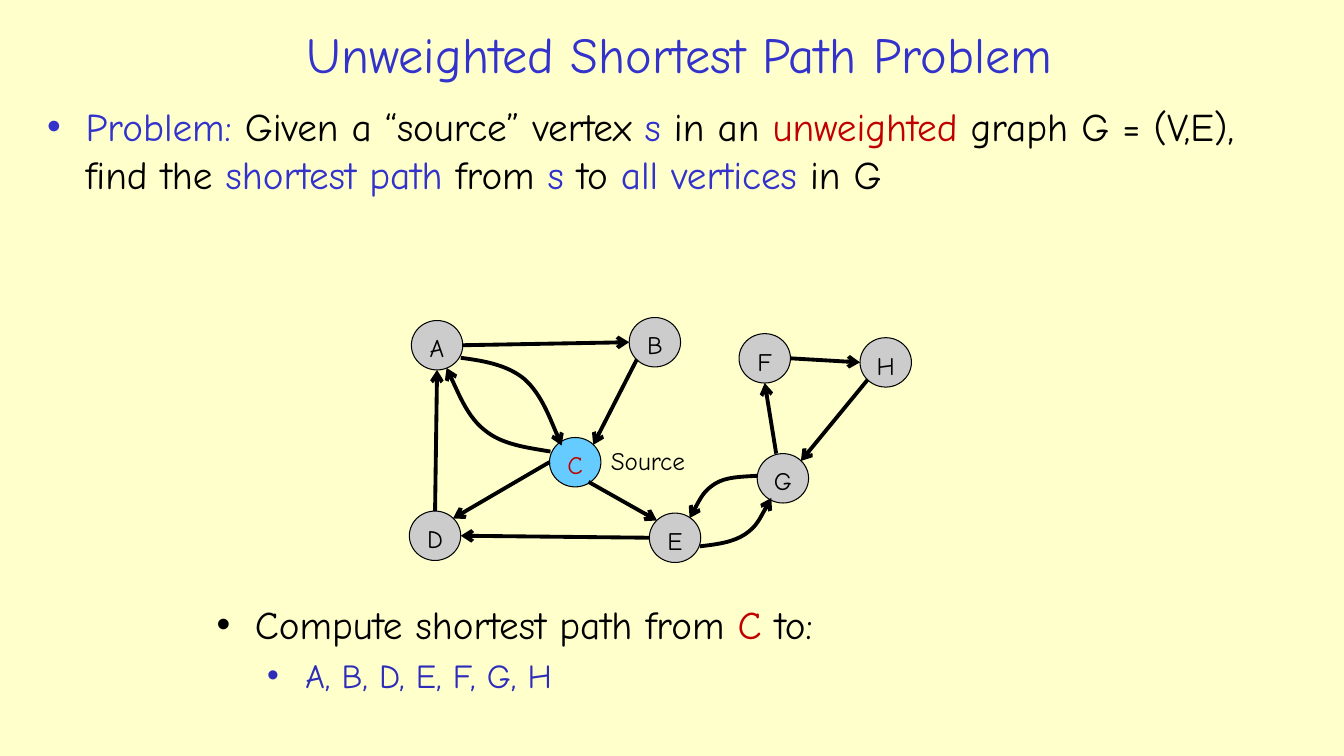
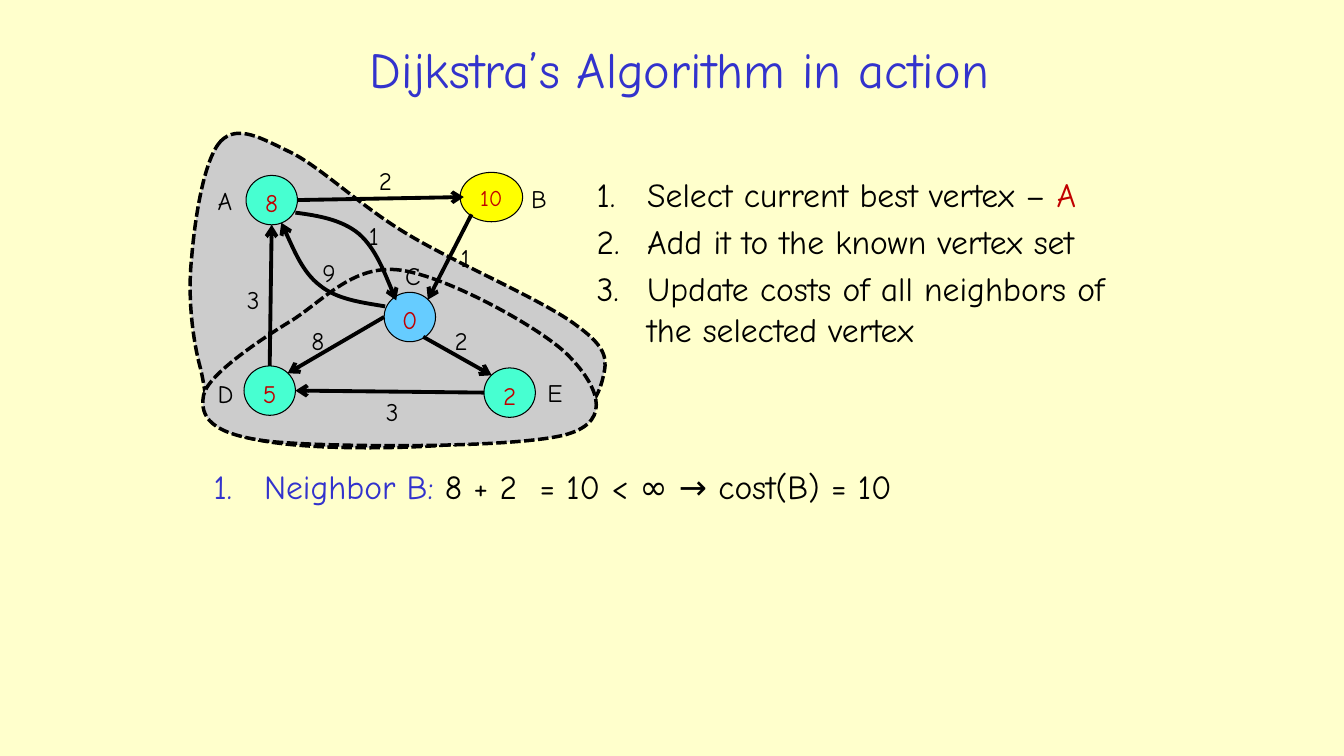
"""Build two slides on shortest paths in a directed graph."""
import pptx
import pptx.dml.color
import pptx.enum.dml
import pptx.enum.shapes
import pptx.enum.text
import pptx.oxml
import pptx.oxml.ns
import pptx.oxml.xmlchemy
import pptx.util

FONT = "Comic Neue"
COLORS = {
    "background": "FFFFCC", "title": "3333CC", "black": "000000", "red": "C00000",
    "deep blue": "2D2DB9", "gray": "CCCCCC", "sky": "66CCFF", "mint": "47FFD1",
    "yellow": "FFFF00",
}
SLIDE_WIDTH, SLIDE_HEIGHT = 13.33, 7.5
NODE_WIDTH, NODE_HEIGHT = 0.51, 0.49
LABEL_WIDTH, LABEL_HEIGHT = 0.36, 0.4

NODES = {
    "A": (4.08, 3.18), "B": (6.24, 3.15), "C": (5.45, 4.34), "D": (4.06, 5.07),
    "E": (6.44, 5.09), "F": (7.33, 3.31), "G": (7.51, 4.5), "H": (8.53, 3.35),
}
SITES = {
    "top": (0.5, 0), "bottom": (0.5, 1), "left": (0, 0.5), "right": (1, 0.5),
    "top left": (0.15, 0.15), "top right": (0.85, 0.15), "bottom left": (0.15, 0.85),
    "lower right": (0.76, 0.9), "near top": (0.37, 0),
}
EDGES = [
    ("A", "right", "B", "left"), ("D", "top", "A", "bottom"),
    ("C", "left", "D", "top right"), ("B", "bottom left", "C", "top right"),
    ("E", "left", "D", "right"), ("C", "lower right", "E", "top left"),
    ("G", "near top", "F", "bottom"), ("F", "right", "H", "left"),
    ("H", "bottom left", "G", "top right"),
]
CURVES = {
    "CA": [(5.46, 4.48), (5.22, 4.44), (4.98, 4.41), (4.81, 4.27),
           (4.64, 4.14), (4.43, 3.65), (4.43, 3.65)],
    "AC": [(4.57, 3.55), (4.8, 3.58), (5.03, 3.62), (5.2, 3.76),
           (5.37, 3.91), (5.57, 4.42), (5.57, 4.42)],
    "EG": [(6.94, 5.42), (7.11, 5.4), (7.27, 5.38), (7.39, 5.3),
           (7.51, 5.22), (7.65, 4.94), (7.65, 4.94)],
    "GE": [(7.51, 4.72), (7.35, 4.73), (7.2, 4.73), (7.09, 4.8),
           (6.98, 4.87), (6.91, 5.01), (6.84, 5.14)],
}

PROBLEM = [[
    ("Problem: ", "title"), ("Given a “source” vertex ", "black"), ("s", "title"),
    (" in an ", "black"), ("unweighted", "red"), (" graph G = (V,E), find the ", "black"),
    ("shortest path", "title"), (" from ", "black"), ("s", "title"), (" to ", "black"),
    ("all vertices ", "title"), ("in G", "black"),
]]
TASK = [[("Compute shortest path from ", "black"), ("C ", "red"), ("to:", "black")],
        [("A, B, D, E, F, G, H", "deep blue")]]
PROBLEM_LOOK = {name: (name, "gray", "black") for name in NODES} | {"C": ("C", "sky", "red")}

ACTION_SHIFT = (-1.64, -1.44)
ACTION_LOOK = {
    "A": ("8", "mint", "red"), "B": ("10", "yellow", "red"), "C": ("0", "sky", "red"),
    "D": ("5", "mint", "red"), "E": ("2", "mint", "red"),
}
STEPS = [
    [("Select current best vertex – ", "black"), ("A", "red")],
    [("Add it to the known vertex set", "black")],
    [("Update costs of all neighbors of the selected vertex", "black")],
]
COST_UPDATE = [[("Neighbor B: ", "title"), ("8 + 2  = 10 < ∞ → cost(B) = 10", "black")]]
ACTION_LABELS = [
    ("3", 2.35, 2.77), ("9", 3.1, 2.5), ("1", 3.56, 2.14), ("2", 3.66, 1.59),
    ("1", 4.47, 2.35), ("2", 4.41, 3.18), ("8", 2.99, 3.18), ("3", 3.73, 3.88),
    ("A", 2.06, 1.79), ("B", 5.17, 1.77), ("C", 3.92, 2.53), ("D", 2.06, 3.7),
    ("E", 5.33, 3.69),
]
KNOWN_REGIONS = [
    [(2.19, 1.4), (2.02, 1.58), (1.93, 2.19), (1.9, 2.57), (1.86, 2.94), (1.91, 3.37),
     (1.99, 3.66), (2.06, 3.95), (2.02, 4.17), (2.33, 4.3), (2.65, 4.43), (3.36, 4.45),
     (3.88, 4.44), (4.41, 4.43), (5.14, 4.37), (5.49, 4.25), (5.84, 4.14), (5.94, 3.92),
     (5.98, 3.75), (6.02, 3.58), (6.04, 3.46), (5.72, 3.23), (5.41, 2.99), (4.54, 2.62),
     (4.07, 2.34), (3.59, 2.06), (3.21, 1.68), (2.9, 1.52), (2.59, 1.37), (2.36, 1.23),
     (2.19, 1.4)],
    [(3.97, 2.68), (3.52, 2.62), (3.23, 2.96), (2.91, 3.17), (2.58, 3.37), (2.06, 3.72),
     (2.02, 3.92), (1.98, 4.13), (2.08, 4.31), (2.68, 4.38), (3.28, 4.44), (5.12, 4.45),
     (5.62, 4.31), (6.11, 4.17), (5.9, 3.79), (5.63, 3.52), (5.36, 3.25), (4.43, 2.74),
     (3.97, 2.68)],
]


def inches(values):
    return [pptx.util.Inches(value) for value in values]


def color(name):
    return pptx.dml.color.RGBColor.from_string(COLORS[name])


def add_element(parent, tag, **attributes):
    element = pptx.oxml.xmlchemy.OxmlElement(tag)
    for key, value in attributes.items():
        element.set(key, value)
    parent.append(element)
    return element


def write_text(shape, paragraphs, sizes=(18,), align="LEFT", anchor="TOP", wrap=False,
               bullet=None, indents=(0,), hanging=0):
    frame = shape.text_frame
    frame.word_wrap = wrap
    frame.vertical_anchor = getattr(pptx.enum.text.MSO_ANCHOR, anchor)
    for index, runs in enumerate(paragraphs):
        paragraph = frame.paragraphs[0] if index == 0 else frame.add_paragraph()
        paragraph.alignment = getattr(pptx.enum.text.PP_ALIGN, align)
        size = sizes[min(index, len(sizes) - 1)]
        if index:
            paragraph.space_before = pptx.util.Pt(size * 0.2)
        if bullet:
            properties = paragraph._p.get_or_add_pPr()
            indent = indents[min(index, len(indents) - 1)]
            properties.set("marL", str(pptx.util.Inches(indent)))
            properties.set("indent", str(-pptx.util.Inches(hanging)))
            if bullet == "number":
                add_element(properties, "a:buFont", typeface=FONT)
                add_element(properties, "a:buAutoNum", type="arabicPeriod")
            else:
                add_element(properties, "a:buFont", typeface="Arial")
                add_element(properties, "a:buChar", char=bullet)
        for text, color_name in runs:
            run = paragraph.add_run()
            run.text = text
            run.font.name = FONT
            run.font.size = pptx.util.Pt(size)
            run.font.color.rgb = color(color_name)


def add_text(slide, box, paragraphs, **text_format):
    shape = slide.shapes.add_textbox(*inches(box))
    write_text(shape, paragraphs, **text_format)
    return shape


def add_label(slide, text, left, top, width=LABEL_WIDTH):
    label = add_text(slide, (left, top, width, LABEL_HEIGHT), [[(text, "black")]])
    label.text_frame.auto_size = pptx.enum.text.MSO_AUTO_SIZE.SHAPE_TO_FIT_TEXT


def set_line(shape, width, arrow=False):
    shape.line.color.rgb = color("black")
    shape.line.width = pptx.util.Pt(width)
    if arrow:
        line = shape.element.find(".//" + pptx.oxml.ns.qn("a:ln"))
        add_element(line, "a:tailEnd", type="arrow")


def add_curve(slide, points, closed=False):
    start, *controls = [inches(point) for point in points]
    builder = slide.shapes.build_freeform(*start)
    builder.add_line_segments(controls, close=closed)
    shape = builder.convert_to_shape()
    segments = shape.element.findall(".//" + pptx.oxml.ns.qn("a:lnTo"))
    for index in range(0, len(segments), 3):
        bezier = pptx.oxml.xmlchemy.OxmlElement("a:cubicBezTo")
        segments[index].addprevious(bezier)
        for segment in segments[index:index + 3]:
            bezier.append(segment[0])
            segment.getparent().remove(segment)
    shape.shadow.inherit = False
    return shape


def add_region(slide, points):
    region = add_curve(slide, points, closed=True)
    region.fill.solid()
    region.fill.fore_color.rgb = color("gray")
    set_line(region, 2.5)
    region.line.dash_style = pptx.enum.dml.MSO_LINE.SQUARE_DOT
    dash = region.element.find(".//" + pptx.oxml.ns.qn("a:prstDash"))
    dash.set("val", "sysDash")


def add_node(slide, left, top, text, fill, text_color):
    extra = 0.11 if len(text) > 1 else 0
    box = (left - extra / 3, top, NODE_WIDTH + extra, NODE_HEIGHT)
    node = slide.shapes.add_shape(pptx.enum.shapes.MSO_SHAPE.OVAL, *inches(box))
    node.shadow.inherit = False
    node.fill.solid()
    node.fill.fore_color.rgb = color(fill)
    set_line(node, 0.75)
    write_text(node, [[(text, text_color)]], sizes=(16 if extra else 18,), align="CENTER")


def draw_graph(slide, look, shift=(0, 0)):
    def moved(x, y):
        return x + shift[0], y + shift[1]

    def site_point(name, site):
        left, top = NODES[name]
        across, down = SITES[site]
        return moved(left + across * NODE_WIDTH, top + down * NODE_HEIGHT)

    for name, style in look.items():
        add_node(slide, *moved(*NODES[name]), *style)
    for source, source_site, target, target_site in EDGES:
        if source in look and target in look:
            ends = site_point(source, source_site) + site_point(target, target_site)
            edge = slide.shapes.add_connector(
                pptx.enum.shapes.MSO_CONNECTOR.STRAIGHT, *inches(ends))
            set_line(edge, 2.75, arrow=True)
            add_element(edge.element.spPr, "a:effectLst")
    for ends, points in CURVES.items():
        if set(ends) <= set(look):
            curve = add_curve(slide, [moved(*point) for point in points])
            curve.fill.background()
            set_line(curve, 2.75, arrow=True)


def new_slide(presentation, title, title_top):
    slide = presentation.slides.add_slide(presentation.slide_layouts[6])
    slide.background.fill.solid()
    slide.background.fill.fore_color.rgb = color("background")
    add_text(slide, (1.97, title_top, 9.54, 0.76), [[(title, "title")]],
             sizes=(36,), align="CENTER", anchor="MIDDLE", wrap=True)
    return slide


def build_problem(presentation):
    slide = new_slide(presentation, "Unweighted Shortest Path Problem", 0.15)
    add_text(slide, (0.37, 0.97, 12.53, 1.72), PROBLEM, sizes=(28,), wrap=True,
             bullet="•", indents=(0.38,), hanging=0.38)
    draw_graph(slide, PROBLEM_LOOK)
    add_label(slide, "Source", 5.96, 4.37, 1.03)
    add_text(slide, (2.05, 5.91, 9.35, 1.28), TASK, sizes=(28, 24), wrap=True,
             bullet="•", indents=(0.38, 0.88), hanging=0.38)


def build_action(presentation):
    slide = new_slide(presentation, "Dijkstra’s Algorithm in action", 0.3)
    for points in KNOWN_REGIONS:
        add_region(slide, points)
    draw_graph(slide, ACTION_LOOK, ACTION_SHIFT)
    for label in ACTION_LABELS:
        add_label(slide, *label)
    numbered = dict(sizes=(24,), wrap=True, bullet="number", indents=(0.5,), hanging=0.5)
    add_text(slide, (5.82, 1.68, 5.71, 2.04), STEPS, **numbered)
    add_text(slide, (2.02, 4.57, 9.32, 0.72), COST_UPDATE, **numbered)


def main():
    presentation = pptx.Presentation()
    presentation.slide_width = pptx.util.Inches(SLIDE_WIDTH)
    presentation.slide_height = pptx.util.Inches(SLIDE_HEIGHT)
    build_problem(presentation)
    build_action(presentation)
    presentation.save("out.pptx")


if __name__ == "__main__":
    main()
